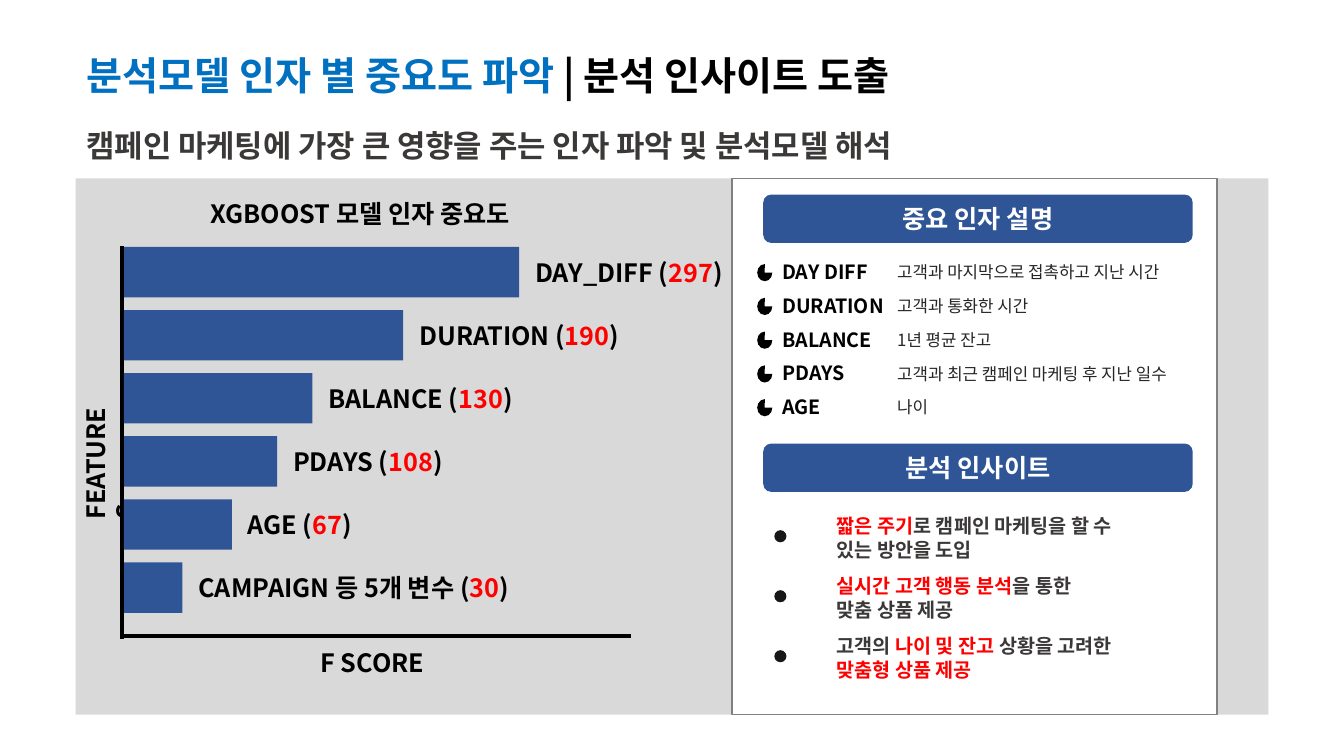
"""Build the slide on feature importance and campaign insights."""
from pptx import Presentation
from pptx.dml.color import RGBColor
from pptx.enum.shapes import MSO_CONNECTOR as LINK, MSO_SHAPE as SHAPE
from pptx.enum.text import MSO_ANCHOR as ANCHOR, MSO_AUTO_SIZE as FIT, PP_ALIGN as ALIGN
from pptx.oxml.ns import qn
from pptx.util import Inches, Pt

TITLE = "*분석모델 인자 별 중요도 파악 *| 분석 인사이트 도출"
LEAD = "캠페인 마케팅에 가장 큰 영향을 주는 인자 파악 및 분석모델 해석"
CHART = "XGBOOST 모델 인자 중요도"
AXES = {"x": "F SCORE", "y": "FEATURES"}
BARS = [
    ("DAY_DIFF (*297*)", 3.92, 2.56),
    ("DURATION (*190*)", 2.77, 2.26),
    ("BALANCE (*130*)", 1.87, 2.26),
    ("PDAYS (*108*)", 1.52, 2.26),
    ("AGE (*67*)", 1.07, 2.26),
    ("CAMPAIGN 등 5개 변수 (*30*)", 0.58, 3.55),
]
HEADS = [("중요 인자 설명", 1.93), ("분석 인사이트", 4.4)]
TERMS = [
    ("DAY DIFF", "고객과 마지막으로 접촉하고 지난 시간"),
    ("DURATION", "고객과 통화한 시간"),
    ("BALANCE", "1년 평균 잔고"),
    ("PDAYS", "고객과 최근 캠페인 마케팅 후 지난 일수"),
    ("AGE", "나이"),
]
TIPS = [
    "*짧은 주기*로 캠페인 마케팅을 할 수 \n있는 방안을 도입",
    "*실시간 고객 행동 분석*을 통한 \n맞춤 상품 제공",
    "고객의 *나이 및 잔고* 상황을 고려한\n*맞춤형 상품 제공*",
]
THEME = {
    "font": "Noto Sans CJK KR",
    "black": "000000", "white": "FFFFFF", "gray": "D9D9D9", "edge": "808080",
    "navy": "2F5597", "blue": "0070C0", "red": "FF0000",
    "dark": "3B3838", "ink": "262626", "dot": "181717",
    "title": 28, "lead": 22, "label": 18, "term": 14, "note": 12,
}


def tint(name):
    return RGBColor.from_string(THEME[name])


def write(shape, text, size="label", color="black", mark="red", bold=True,
          wrap=False, align=ALIGN.LEFT, anchor=ANCHOR.TOP, fit=FIT.SHAPE_TO_FIT_TEXT,
          space=1.0):
    """Fill a shape with text, where *stars* enclose marked words."""
    frame = shape.text_frame
    frame.word_wrap, frame.auto_size, frame.vertical_anchor = wrap, fit, anchor
    para = frame.paragraphs[0]
    para.alignment, para.line_spacing = align, space
    for i, part in enumerate(text.split("*")):
        for j, line in enumerate(part.split("\n")):
            if j:
                para.add_line_break()
            if not line:
                continue
            run = para.add_run()
            run.text = line
            font = run.font
            font.name, font.size, font.bold = THEME["font"], Pt(THEME[size]), bold
            font.color.rgb = tint(mark if i % 2 else color)
            east = run._r.get_or_add_rPr().makeelement(qn("a:ea"), {"typeface": THEME["font"]})
            font._element.find(qn("a:latin")).addnext(east)
    return shape


def box(x, y, w, h):
    return slide.shapes.add_textbox(*map(Inches, (x, y, w, h)))


def draw(kind, x, y, w, h, fill, edge=None):
    shape = slide.shapes.add_shape(kind, *map(Inches, (x, y, w, h)))
    shape.shadow.inherit = False
    shape.fill.solid()
    shape.fill.fore_color.rgb = tint(fill)
    if edge:
        shape.line.color.rgb = tint(edge)
        shape.line.width = Pt(1)
    else:
        shape.line.fill.background()
    return shape


def rule(*ends):
    line = slide.shapes.add_connector(LINK.STRAIGHT, *map(Inches, ends))
    line.line.color.rgb = tint("black")
    line.line.width = Pt(3)
    props = line._element.spPr
    props.append(props.makeelement(qn("a:effectLst"), {}))


deck = Presentation()
deck.slide_width, deck.slide_height = Inches(13.33), Inches(7.5)
slide = deck.slides.add_slide(deck.slide_layouts[5])

draw(SHAPE.RECTANGLE, 0.75, 1.77, 11.83, 5.32, "gray")
head = slide.shapes.title
head.left, head.top, head.width, head.height = map(Inches, (0.76, 0.46, 9.28, 0.57))
write(head, TITLE, size="title", mark="blue")
write(box(0.76, 1.21, 9.31, 0.47), LEAD, size="lead", color="dark")
write(box(1.99, 1.77, 3.42, 0.5), CHART, space=1.5)

rule(1.21, 2.44, 1.21, 6.34)
rule(6.26, 6.31, 1.2, 6.31)
write(box(3.08, 6.37, 1.26, 0.4), AXES["x"], wrap=True)
write(box(0.23, 4.33, 1.44, 0.4), AXES["y"], wrap=True).rotation = 270
for i, (name, long, wide) in enumerate(BARS):
    y = 2.45 + i * 0.626
    draw(SHAPE.RECTANGLE, 1.23, y, long, 0.5, "navy")
    write(box(1.23 + long + 0.06, y + 0.05, wide, 0.4), name, wrap=True)

draw(SHAPE.RECTANGLE, 7.26, 1.77, 4.81, 5.32, "white", edge="edge")
for name, y in HEADS:
    write(draw(SHAPE.ROUNDED_RECTANGLE, 7.57, y, 4.26, 0.48, "navy"), name, color="white",
          wrap=True, align=ALIGN.CENTER, anchor=ANCHOR.MIDDLE, fit=FIT.NONE)

for i, (name, note) in enumerate(TERMS):
    y = 2.53 + i * 0.335
    write(box(7.66, y, 1.23, 0.34), name, size="term")
    write(box(8.8, y + 0.02, 3.25, 0.3), note, size="note", color="ink", bold=False)
    draw(SHAPE.PIE, 7.51, y + 0.09, 0.15, 0.17, "black")

for i, tip in enumerate(TIPS):
    y = 5.05 + i * 0.595
    write(box(8.2, y, 3.36, 0.57), tip, size="term", color="dark")
    draw(SHAPE.OVAL, 7.68, y + 0.21, 0.12, 0.12, "dot")

deck.save("out.pptx")
